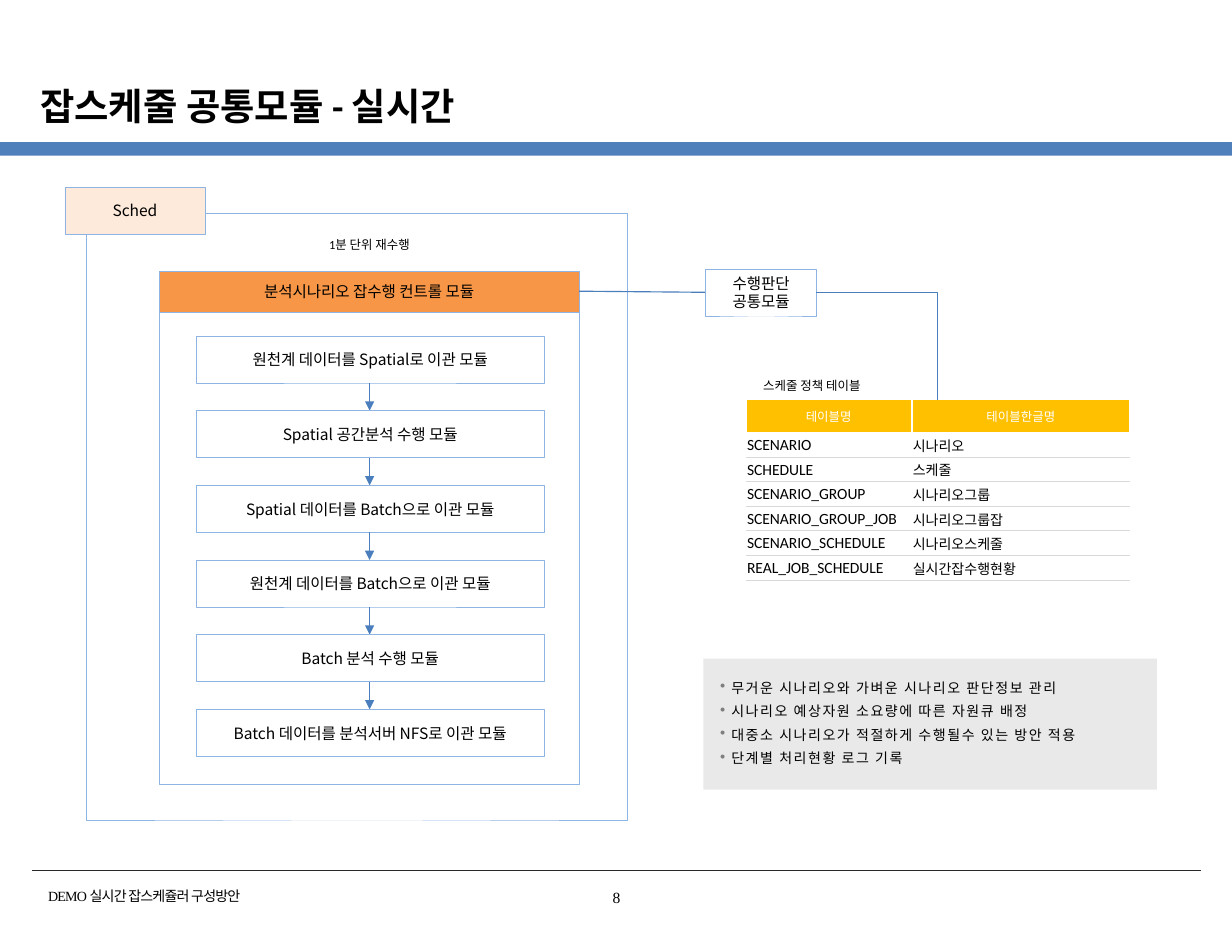
import pptx
import pptx.util
import pptx.oxml
import pptx.oxml.ns
import pptx.dml.color
import pptx.enum.shapes
import pptx.enum.text

Inches = pptx.util.Inches
Pt = pptx.util.Pt
RGB = pptx.dml.color.RGBColor
ALIGN = pptx.enum.text.PP_ALIGN
ANCHOR = pptx.enum.text.MSO_ANCHOR
CONNECTOR = pptx.enum.shapes.MSO_CONNECTOR
qn = pptx.oxml.ns.qn

BLACK = RGB(0x00, 0x00, 0x00)
WHITE = RGB(0xFF, 0xFF, 0xFF)
BAR_BLUE = RGB(0x4F, 0x80, 0xBC)
ARROW_BLUE = RGB(0x4B, 0x7E, 0xBC)
BOX_BLUE = RGB(0x8E, 0xB4, 0xE3)
ORANGE = RGB(0xF7, 0x96, 0x46)
PEACH = RGB(0xFD, 0xEA, 0xDA)
GOLD = RGB(0xFF, 0xC0, 0x00)
PANEL_GRAY = RGB(0xE9, 0xE9, 0xE9)
RULE_GRAY = RGB(0xD9, 0xD9, 0xD9)
BULLET_GRAY = RGB(0x7E, 0x7E, 0x7E)
FOOTER_RULE = RGB(0x28, 0x28, 0x28)

SANS = "Noto Sans CJK JP"
KOREAN = "Noto Sans CJK KR"
LATIN = "Calibri"
SERIF = "Times New Roman"


def xml(tag, body="", **attrs):
    """Make one DrawingML element with the given inner XML."""
    values = "".join(f' {k}="{v}"' for k, v in attrs.items())
    ns = pptx.oxml.ns.nsdecls("a")
    return pptx.oxml.parse_xml(f"<a:{tag} {ns}{values}>{body}</a:{tag}>")


def solid(color):
    """Return the XML of a solid fill."""
    return f'<a:solidFill><a:srgbClr val="{color}"/></a:solidFill>'


def put(tf, text, size=10, font=SANS, color=BLACK, bold=False, align=ALIGN.LEFT,
        anchor=ANCHOR.TOP, inset=None, spacing=0, before=None, leading=None):
    """Write text into a frame, one paragraph a line, and return the paragraphs."""
    tf.word_wrap = True
    tf.vertical_anchor = anchor
    if inset is not None:
        tf.margin_left = tf.margin_right = Inches(inset)
        tf.margin_top = tf.margin_bottom = Inches(inset)
    for i, line in enumerate(text.split("\n")):
        p = tf.add_paragraph() if i else tf.paragraphs[0]
        p.alignment = align
        if before is not None:
            p.space_before = Pt(before)
        if leading:
            p.line_spacing = leading
        r = p.add_run()
        r.text = line
        r.font.size = Pt(size)
        r.font.name = font
        r.font.bold = bold
        r.font.color.rgb = color
        rPr = r.font._element
        rPr.append(xml("ea", typeface=SANS if font == SANS else KOREAN))
        if spacing:
            rPr.set("spc", str(int(spacing * 100)))
    return tf.paragraphs


class Deck:
    """Holds the style and the current slide."""

    box_line = 0.25
    arrow_line = 0.75

    def __init__(self, width, height):
        """Start a presentation of the given size in inches."""
        self.prs = pptx.Presentation()
        self.prs.slide_width = Inches(width)
        self.prs.slide_height = Inches(height)

    def slide(self, title, *at):
        """Add a title-only slide and place its title."""
        self.s = self.prs.slides.add_slide(self.prs.slide_layouts[5])
        sp = self.s.shapes.title
        sp.left, sp.top, sp.width, sp.height = map(Inches, at)
        put(sp.text_frame, title, size=24, font=LATIN, bold=True, anchor=ANCHOR.MIDDLE)

    def box(self, x, y, w, h, text="", fill=WHITE, line=BOX_BLUE, **fmt):
        """Add a rectangle with centred text."""
        sp = self.s.shapes.add_shape(pptx.enum.shapes.MSO_SHAPE.RECTANGLE,
                                     Inches(x), Inches(y), Inches(w), Inches(h))
        sp.shadow.inherit = False
        if fill is None:
            sp.fill.background()
        else:
            sp.fill.solid()
            sp.fill.fore_color.rgb = fill
        if line is None:
            sp.line.fill.background()
        else:
            sp.line.color.rgb = line
            sp.line.width = Pt(self.box_line)
        if text:
            put(sp.text_frame, text, align=ALIGN.CENTER, anchor=ANCHOR.MIDDLE,
                inset=0, **fmt)

    def text(self, x, y, w, h, text, **fmt):
        """Add a text box and return its paragraphs."""
        sp = self.s.shapes.add_textbox(Inches(x), Inches(y), Inches(w), Inches(h))
        return put(sp.text_frame, text, **fmt)

    def bullets(self, x, y, w, h, lines):
        """Add a bulleted list."""
        paragraphs = self.text(x, y, w, h, "\n".join(lines), size=9, inset=0,
                               spacing=1, before=3.1, leading=1.11)
        paragraphs[0].space_before = Pt(0.9)
        for p in paragraphs:
            pPr = p._p.get_or_add_pPr()
            pPr.set("marL", str(Inches(0.12)))
            pPr.set("indent", str(Inches(-0.1)))
            pPr.append(xml("buClr", f'<a:srgbClr val="{BULLET_GRAY}"/>'))
            pPr.append(xml("buSzPct", val=110000))
            pPr.append(xml("buChar", char="•"))

    def line(self, x1, y1, x2, y2, color=ARROW_BLUE, width=arrow_line,
             arrow=False, bent=False):
        """Add a connector, with an arrowhead or one corner if asked."""
        c = self.s.shapes.add_connector(CONNECTOR.ELBOW if bent else CONNECTOR.STRAIGHT,
                                        Inches(x1), Inches(y1), Inches(x2), Inches(y2))
        c.line.color.rgb = color
        c.line.width = Pt(width)
        spPr = c._element.spPr
        if bent:
            spPr.find(qn("a:prstGeom")).set("prst", "bentConnector2")
        if arrow:
            c.line._get_or_add_ln().append(xml("tailEnd", type="triangle"))
        spPr.append(xml("effectLst"))

    def table(self, x, y, widths, heights, rows):
        """Add a table with a gold header and ruled body rows."""
        frame = self.s.shapes.add_table(len(rows), len(widths), Inches(x), Inches(y),
                                        Inches(sum(widths)), Inches(sum(heights)))
        table = frame.table
        table.horz_banding = False
        table._tbl.tblPr.find(qn("a:tableStyleId")).text = \
            "{2D5ABB26-0587-4C30-8999-92F81FD0307C}"
        for column, width in zip(table.columns, widths):
            column.width = Inches(width)
        for i, (row, height) in enumerate(zip(rows, heights)):
            table.rows[i].height = Inches(height)
            for j, value in enumerate(row):
                self.cell(table.cell(i, j), value, header=i == 0, korean=j == 1)

    def cell(self, cell, value, header, korean):
        """Fill, rule and write one table cell."""
        if header:
            cell.fill.solid()
            cell.fill.fore_color.rgb = GOLD
            put(cell.text_frame, value, size=8, font=LATIN, color=WHITE,
                align=ALIGN.CENTER)
            sides, color, width = ("lnL", "lnR"), WHITE, 1.5
        else:
            cell.fill.background()
            cell.margin_left = cell.margin_right = cell.margin_top = Inches(0.01)
            cell.margin_bottom = 0
            put(cell.text_frame, value, size=9 if korean else 10,
                font=KOREAN if korean else LATIN)
            sides, color, width = ("lnB",), RULE_GRAY, 0.5
        cell.vertical_anchor = ANCHOR.MIDDLE
        tcPr = cell._tc.get_or_add_tcPr()
        for i, side in enumerate(sides):
            tcPr.insert(i, xml(side, solid(color), w=Pt(width)))


def main():
    """Build the job schedule slide."""
    d = Deck(11, 8.5)
    d.slide("잡스케줄 공통모듈 - 실시간", 0.26, 0.67, 8.94, 0.54)
    d.box(0, 1.27, 11, 0.12, fill=BAR_BLUE, line=None)
    d.line(0.29, 7.77, 10.72, 7.77, color=FOOTER_RULE, width=0.25)
    d.text(0.43, 7.92, 3.17, 0.15, "DEMO 실시간 잡스케쥴러 구성방안",
           size=9, font=SERIF, inset=0, spacing=-0.5, before=1.5)
    d.box(5.3, 7.87, 0.41, 0.28, "8", line=None, font=SERIF)

    d.box(0.77, 1.9, 4.83, 5.42, fill=None)
    d.box(0.58, 1.67, 1.25, 0.42, "Sched", fill=PEACH)
    d.text(2.76, 2.07, 1.08, 0.24, "1분 단위 재수행", size=8, font=LATIN,
           align=ALIGN.CENTER)
    d.box(1.42, 2.79, 3.75, 4.21)
    d.box(1.42, 2.42, 3.75, 0.37, "분석시나리오 잡수행 컨트롤 모듈", fill=ORANGE)

    modules = ["원천계 데이터를 Spatial로 이관 모듈", "Spatial 공간분석 수행 모듈",
               "Spatial 데이터를 Batch으로 이관 모듈", "원천계 데이터를 Batch으로 이관 모듈",
               "Batch 분석 수행 모듈", "Batch 데이터를 분석서버 NFS로 이관 모듈"]
    top, pitch, height = 3, 2 / 3, 0.42
    for i, module in enumerate(modules):
        y = top + i * pitch
        if i:
            d.line(3.3, y - pitch + height, 3.3, y, arrow=True)
        d.box(1.75, y, 3.11, height, module)

    d.line(5.17, 2.6, 6.3, 2.61)
    d.box(6.3, 2.4, 0.99, 0.42, "수행판단\n공통모듈")
    d.line(7.29, 2.61, 8.37, 3.57, bent=True)
    d.text(6.59, 3.33, 1.32, 0.24, "스케줄 정책 테이블", size=8, font=LATIN,
           align=ALIGN.CENTER)
    rows = [("테이블명", "테이블한글명"), ("SCENARIO", "시나리오"), ("SCHEDULE", "스케줄"),
            ("SCENARIO_GROUP", "시나리오그룹"), ("SCENARIO_GROUP_JOB", "시나리오그룹잡"),
            ("SCENARIO_SCHEDULE", "시나리오스케줄"), ("REAL_JOB_SCHEDULE", "실시간잡수행현황")]
    d.table(6.66, 3.57, [1.48, 1.95], [0.29] + [0.22] * 6, rows)

    d.box(6.28, 5.88, 4.05, 1.17, fill=PANEL_GRAY, line=None)
    d.bullets(6.41, 6.05, 3.57, 0.81,
              ["무거운 시나리오와 가벼운 시나리오 판단정보 관리",
               "시나리오 예상자원 소요량에 따른 자원큐 배정",
               "대중소 시나리오가 적절하게 수행될수 있는 방안 적용",
               "단계별 처리현황 로그 기록"])
    d.prs.save("out.pptx")


main()
